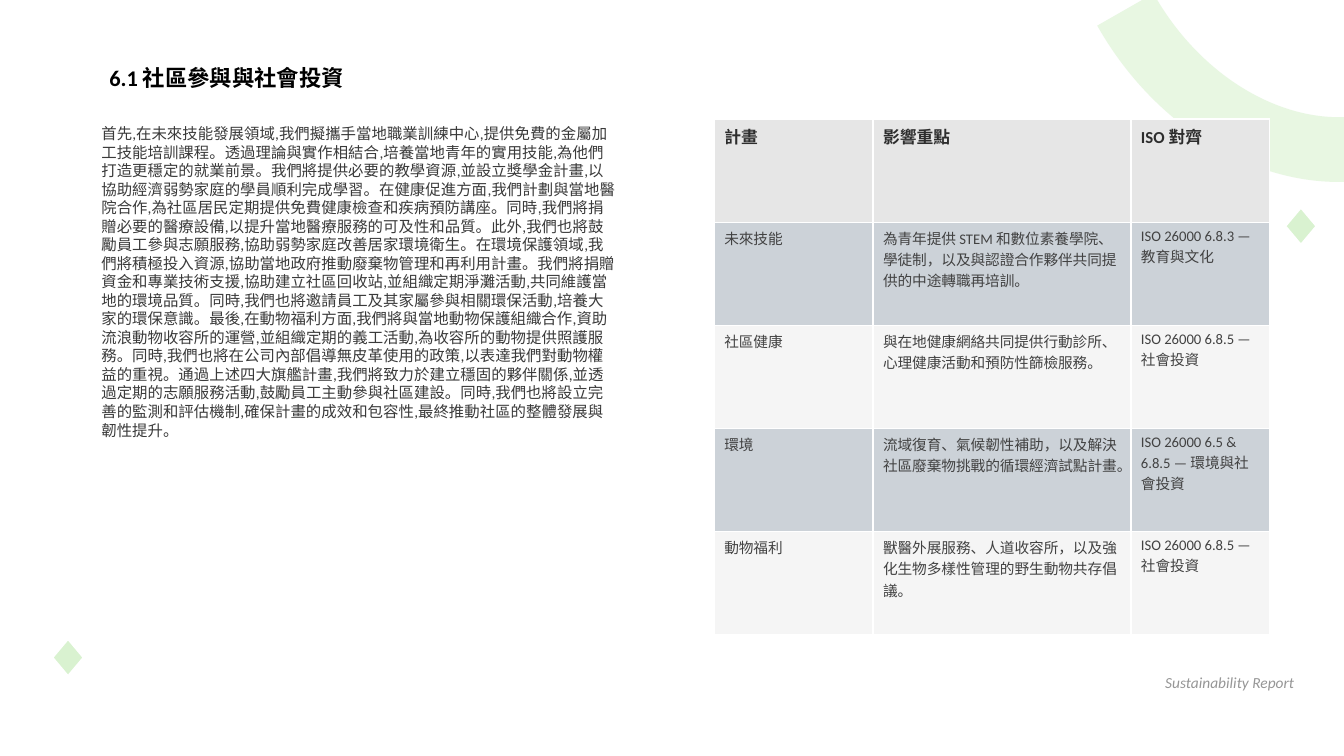
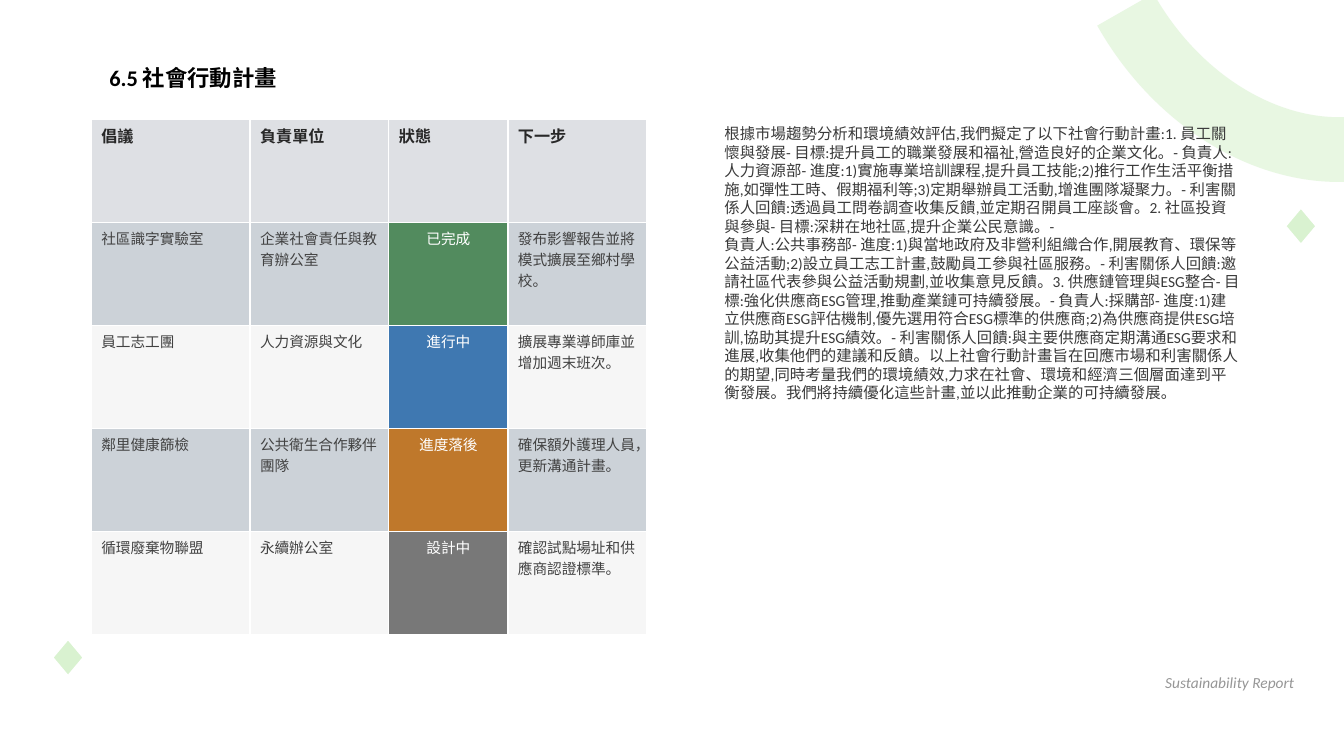
import pptx
import pptx.util
import pptx.dml.color
import pptx.enum.shapes
import pptx.enum.text
import lxml.etree

Cm, Pt = pptx.util.Cm, pptx.util.Pt
ALIGN = pptx.enum.text.PP_ALIGN
SHAPE = pptx.enum.shapes.MSO_SHAPE
DRAWING = "{http://schemas.openxmlformats.org/drawingml/2006/main}"

COLORS = {
    "leaf": "D9F2D0", "white": "FFFFFF", "title": "000000", "body": "3A3A3A",
    "footer": "969696", "cell": "424242", "band": "CCD2D8",
    "plan_head": "2D2D2D", "plan_head_fill": "E6E6E6", "plan_plain": "F5F5F5",
    "action_head": "282828", "action_head_fill": "DEE0E4", "action_plain": "F6F6F6",
    "已完成": "528B5E", "進行中": "3F78B1", "進度落後": "BF782B", "設計中": "787878",
}
STYLES = {
    "title": {"size": Pt(16), "bold": True},
    "body": {"size": Pt(11)},
    "footer": {"size": Pt(11), "italic": True},
    "plan_head": {"size": Pt(12), "bold": True},
    "action_head": {"size": Pt(11.5), "bold": True},
    "cell": {"size": Pt(10.5), "bold": False},
}
TABLE_WIDTH, ROW_HEIGHT = 14, 2.6
CONTENT_TOP = 3

SECTIONS = [
    {
        "title": "6.1 社區參與與社會投資",
        "body_left": 2.3,
        "body": "首先,在未來技能發展領域,我們擬攜手當地職業訓練中心,提供免費的金屬加工技能培訓課程。透過理論與實作相結合,培養當地青年的實用技能,為他們打造更穩定的就業前景。我們將提供必要的教學資源,並設立獎學金計畫,以協助經濟弱勢家庭的學員順利完成學習。在健康促進方面,我們計劃與當地醫院合作,為社區居民定期提供免費健康檢查和疾病預防講座。同時,我們將捐贈必要的醫療設備,以提升當地醫療服務的可及性和品質。此外,我們也將鼓勵員工參與志願服務,協助弱勢家庭改善居家環境衛生。在環境保護領域,我們將積極投入資源,協助當地政府推動廢棄物管理和再利用計畫。我們將捐贈資金和專業技術支援,協助建立社區回收站,並組織定期淨灘活動,共同維護當地的環境品質。同時,我們也將邀請員工及其家屬參與相關環保活動,培養大家的環保意識。最後,在動物福利方面,我們將與當地動物保護組織合作,資助流浪動物收容所的運營,並組織定期的義工活動,為收容所的動物提供照護服務。同時,我們也將在公司內部倡導無皮革使用的政策,以表達我們對動物權益的重視。通過上述四大旗艦計畫,我們將致力於建立穩固的夥伴關係,並透過定期的志願服務活動,鼓勵員工主動參與社區建設。同時,我們也將設立完善的監測和評估機制,確保計畫的成效和包容性,最終推動社區的整體發展與韌性提升。",
        "table_left": 18,
        "kind": "plan",
        "widths": [4, 6.5, 3.5],
        "rows": [
            ["計畫", "影響重點", "ISO 對齊"],
            ["未來技能", "為青年提供 STEM 和數位素養學院、學徒制，以及與認證合作夥伴共同提供的中途轉職再培訓。", "ISO 26000 6.8.3 — 教育與文化"],
            ["社區健康", "與在地健康網絡共同提供行動診所、心理健康活動和預防性篩檢服務。", "ISO 26000 6.8.5 — 社會投資"],
            ["環境", "流域復育、氣候韌性補助，以及解決社區廢棄物挑戰的循環經濟試點計畫。", "ISO 26000 6.5 & 6.8.5 — 環境與社會投資"],
            ["動物福利", "獸醫外展服務、人道收容所，以及強化生物多樣性管理的野生動物共存倡議。", "ISO 26000 6.8.5 — 社會投資"],
        ],
    },
    {
        "title": "6.5 社會行動計畫",
        "body_left": 18,
        "body": "根據市場趨勢分析和環境績效評估,我們擬定了以下社會行動計畫:1. 員工關懷與發展- 目標:提升員工的職業發展和福祉,營造良好的企業文化。- 負責人:人力資源部- 進度:1)實施專業培訓課程,提升員工技能;2)推行工作生活平衡措施,如彈性工時、假期福利等;3)定期舉辦員工活動,增進團隊凝聚力。- 利害關係人回饋:透過員工問卷調查收集反饋,並定期召開員工座談會。2. 社區投資與參與- 目標:深耕在地社區,提升企業公民意識。-\n負責人:公共事務部- 進度:1)與當地政府及非營利組織合作,開展教育、環保等公益活動;2)設立員工志工計畫,鼓勵員工參與社區服務。- 利害關係人回饋:邀請社區代表參與公益活動規劃,並收集意見反饋。3. 供應鏈管理與ESG整合- 目標:強化供應商ESG管理,推動產業鏈可持續發展。- 負責人:採購部- 進度:1)建立供應商ESG評估機制,優先選用符合ESG標準的供應商;2)為供應商提供ESG培訓,協助其提升ESG績效。- 利害關係人回饋:與主要供應商定期溝通ESG要求和進展,收集他們的建議和反饋。以上社會行動計畫旨在回應市場和利害關係人的期望,同時考量我們的環境績效,力求在社會、環境和經濟三個層面達到平衡發展。我們將持續優化這些計畫,並以此推動企業的可持續發展。",
        "table_left": 2.3,
        "kind": "action",
        "widths": [4, 3.5, 3, 3.5],
        "rows": [
            ["倡議", "負責單位", "狀態", "下一步"],
            ["社區識字實驗室", "企業社會責任與教育辦公室", "已完成", "發布影響報告並將模式擴展至鄉村學校。"],
            ["員工志工團", "人力資源與文化", "進行中", "擴展專業導師庫並增加週末班次。"],
            ["鄰里健康篩檢", "公共衛生合作夥伴團隊", "進度落後", "確保額外護理人員，更新溝通計畫。"],
            ["循環廢棄物聯盟", "永續辦公室", "設計中", "確認試點場址和供應商認證標準。"],
        ],
    },
]


def rgb(name):
    return pptx.dml.color.RGBColor.from_string(COLORS[name])


def write(frame, text, style, color, align=ALIGN.LEFT):
    frame.text = text
    frame.word_wrap = True
    for paragraph in frame.paragraphs:
        paragraph.alignment = align
        for run in paragraph.runs:
            for attribute, value in {"name": "Calibri", **STYLES[style]}.items():
                setattr(run.font, attribute, value)
            run.font.color.rgb = rgb(color)


deck = pptx.Presentation()
deck.slide_width, deck.slide_height = Cm(33.87), Cm(19.05)
layout = deck.slide_layouts[1]
slides = [deck.slides.add_slide(layout) for section in SECTIONS]

drawing = slides[0].shapes
arc = drawing.add_shape(SHAPE.ARC, Cm(27.69), Cm(-8.59), Cm(10.16), Cm(12.62))
arc.rotation = 151.3
arc.adjustments[0], arc.adjustments[1] = 152.05, 215.37
arc.fill.background()
arc.line.color.rgb = rgb("leaf")
arc.line.width = Pt(46.25)
tint = arc.element.find(f".//{DRAWING}ln//{DRAWING}srgbClr")
lxml.etree.SubElement(tint, DRAWING + "alpha", val="60000")

decorations = [arc]
for left, top in [(32.39, 5.23), (1.32, 16.1)]:
    diamond = drawing.add_shape(SHAPE.DIAMOND, Cm(left), Cm(top), Cm(0.79), Cm(0.94))
    diamond.fill.solid()
    diamond.fill.fore_color.rgb = rgb("leaf")
    diamond.line.color.rgb = rgb("white")
    diamond.line.width = Pt(1.5)
    decorations.append(diamond)

for number, decoration in enumerate(decorations, 20):
    decoration.shadow.inherit = False
    decoration.element.nvSpPr.cNvPr.set("id", str(number))
    layout.shapes.element.append(decoration.element)

for slide, section in zip(slides, SECTIONS):
    title, body = slide.placeholders
    places = [
        (title, 2.5, 1.5, 20, 2.54),
        (body, section["body_left"], CONTENT_TOP, 13.5, 15),
    ]
    for holder, left, top, width, height in places:
        holder.left, holder.top = Cm(left), Cm(top)
        holder.width, holder.height = Cm(width), Cm(height)
        holder.text_frame.auto_size = pptx.enum.text.MSO_AUTO_SIZE.NONE
        holder.text_frame.vertical_anchor = pptx.enum.text.MSO_ANCHOR.TOP
    write(title.text_frame, section["title"], "title", "title")
    write(body.text_frame, section["body"], "body", "body")
    for paragraph in body.text_frame.paragraphs:
        properties = paragraph.runs[0].font and paragraph.element.get_or_add_pPr() if hasattr(paragraph, "element") else paragraph._p.get_or_add_pPr()
        properties.set("marL", "0")
        properties.set("indent", "0")
        lxml.etree.SubElement(properties, DRAWING + "buNone")
        paragraph.space_before = Pt(0)
        paragraph.line_spacing = Pt(13.25)

    kind, rows, widths = section["kind"], section["rows"], section["widths"]
    plan = slide.shapes.add_table(
        len(rows), len(widths), Cm(section["table_left"]), Cm(CONTENT_TOP),
        Cm(TABLE_WIDTH), Cm(ROW_HEIGHT * len(rows))).table
    for column, width in zip(plan.columns, widths):
        column.width = Cm(width)
    for r, texts in enumerate(rows):
        plan.rows[r].height = Cm(ROW_HEIGHT)
        for c, text in enumerate(texts):
            cell = plan.cell(r, c)
            style, color, align = "cell", "cell", ALIGN.LEFT
            fill = "band" if r % 2 else f"{kind}_plain"
            if r == 0:
                style = color = f"{kind}_head"
                fill = f"{kind}_head_fill"
            elif text in COLORS:
                color, fill, align = "white", text, ALIGN.CENTER
            write(cell.text_frame, text, style, color, align)
            cell.fill.solid()
            cell.fill.fore_color.rgb = rgb(fill)

    footer = slide.shapes.add_textbox(Cm(26.87), Cm(16.84), Cm(6), Cm(1.2))
    write(footer.text_frame, "Sustainability Report", "footer", "footer", ALIGN.RIGHT)

deck.save("out.pptx")
